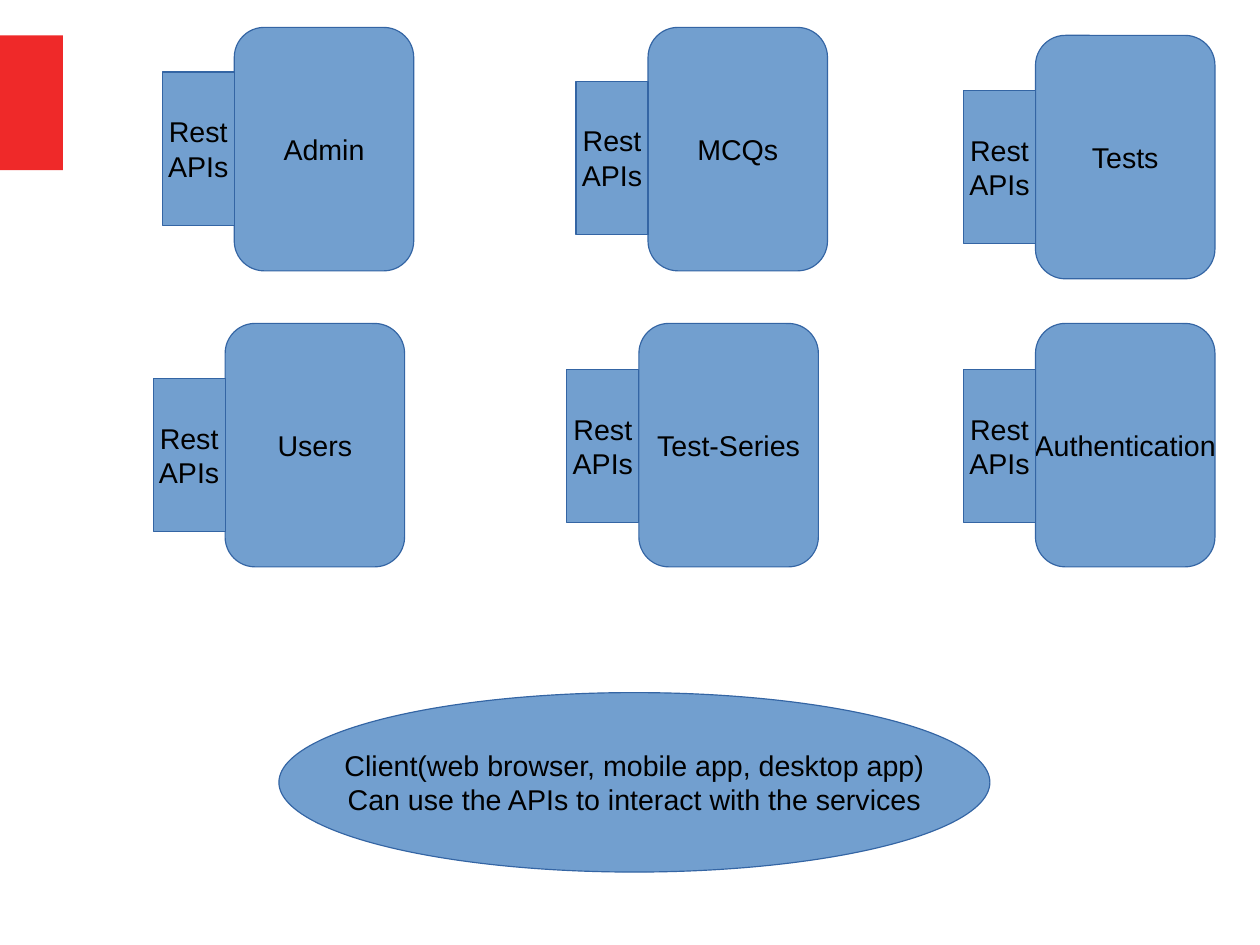
import pptx
import pptx.util
import pptx.dml.color
import pptx.enum.shapes
import pptx.enum.text

Inches = pptx.util.Inches
SHAPE = pptx.enum.shapes.MSO_SHAPE

COLORS = {"accent": "EF2929", "fill": "729FCF", "line": "3465A4", "text": "000000"}

# service name, left and top of its box, top of its API tab
SERVICES = [
    ("Admin", 2.05, 0.24, 0.63),
    ("MCQs", 5.67, 0.24, 0.71),
    ("Tests", 9.06, 0.31, 0.79),
    ("Users", 1.97, 2.83, 3.31),
    ("Test-Series", 5.59, 2.83, 3.23),
    ("Authentication", 9.06, 2.83, 3.23),
]
API_LABEL = "Rest\nAPIs"
CLIENT_LABEL = (
    "Client(web browser, mobile app, desktop app)\n"
    "Can use the APIs to interact with the services"
)
SERVICE_SIZE = (1.57, 2.13)
TAB_SIZE = (0.63, 1.34)


def color(name):
    return pptx.dml.color.RGBColor.from_string(COLORS[name])


def add_block(page, kind, left, top, size, fill):
    """Add a flat filled shape without an outline."""
    block = page.shapes.add_shape(kind, *(Inches(n) for n in (left, top, *size)))
    block.shadow.inherit = False
    block.fill.solid()
    block.fill.fore_color.rgb = color(fill)
    block.line.fill.background()
    return block


def add_node(page, kind, left, top, size, label):
    """Add an outlined diagram shape with one paragraph per label line."""
    node = add_block(page, kind, left, top, size, "fill")
    node.line.color.rgb = color("line")
    node.line.width = pptx.util.Pt(0.75)
    frame = node.text_frame
    frame.word_wrap = False
    frame.vertical_anchor = pptx.enum.text.MSO_ANCHOR.MIDDLE
    frame.text = label
    for para in frame.paragraphs:
        para.alignment = pptx.enum.text.PP_ALIGN.CENTER
        para.font.name = "Arial"
        para.font.size = pptx.util.Pt(18)
        para.font.color.rgb = color("text")


def main():
    deck = pptx.Presentation()
    # The page is metric: 28 by 21 cm
    deck.slide_width = pptx.util.Cm(28)
    deck.slide_height = pptx.util.Cm(21)
    page = deck.slides.add_slide(deck.slide_layouts[6])

    add_block(page, SHAPE.RECTANGLE, 0, 0.31, (0.55, 1.18), "accent")
    for name, left, top, tab_top in SERVICES:
        add_node(page, SHAPE.ROUNDED_RECTANGLE, left, top, SERVICE_SIZE, name)
        add_node(page, SHAPE.RECTANGLE, left - TAB_SIZE[0], tab_top, TAB_SIZE, API_LABEL)
    add_node(page, SHAPE.OVAL, 2.44, 6.06, (6.22, 1.57), CLIENT_LABEL)

    deck.save("out.pptx")


if __name__ == "__main__":
    main()
